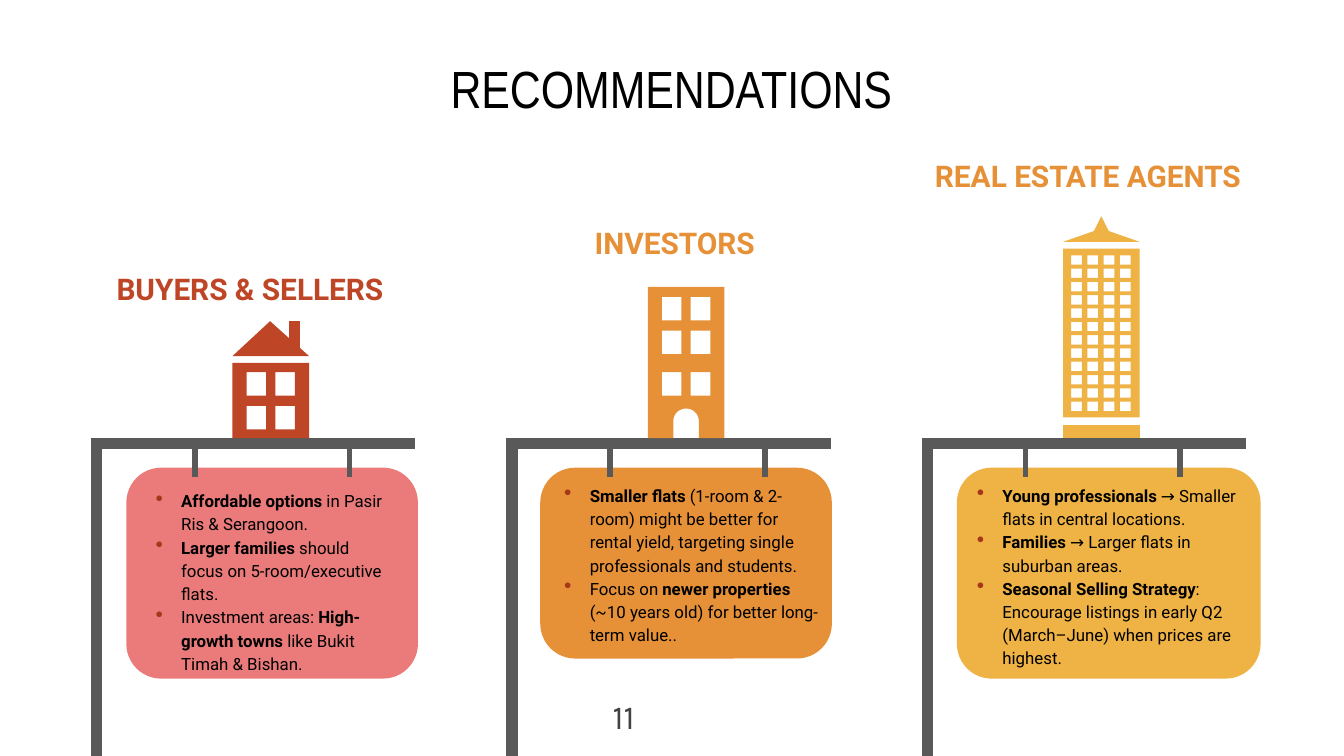
"""Build the recommendations slide: three buildings, each over a hanging sign."""
import math

from lxml import etree
from pptx import Presentation
from pptx import util as u
from pptx.dml.color import RGBColor
from pptx.enum import shapes, text
from pptx.oxml.ns import qn

COLORS = {
    "red": "BE4626", "pink": "EB7B7B", "orange": "E69138", "yellow": "EEB245",
    "bullet": "A73719", "post": "595959", "number": "434343", "black": "000000",
}

presentation = Presentation()
presentation.slide_width = u.Inches(10)
presentation.slide_height = u.Inches(5.625)
CELL = presentation.slide_width / 100
PITCH = 30.9
slide = presentation.slides.add_slide(presentation.slide_layouts[5])


def corners(left, top, right, bottom):
    return [(right, top), (right, bottom), (left, bottom), (left, top)]


def draw_outline(contours, color):
    builder = None
    for contour in contours:
        points = [(round(x * CELL), round(y * CELL)) for x, y in contour]
        if builder is None:
            builder = slide.shapes.build_freeform(*points[0], scale=1.0)
        else:
            builder.move_to(*points[0])
        builder.add_line_segments(points[1:], close=True)
    shape = builder.convert_to_shape()
    shape.shadow.inherit = False
    shape.fill.solid()
    shape.fill.fore_color.rgb = RGBColor.from_string(COLORS[color])
    shape.line.fill.background()


# left, top, width, height
signs = [
    ((9.4, 34.8, 21.7, 15.7), "pink", (10.6, 35.3, 19.6, 6.2), [
        "*Affordable options *in Pasir Ris & Serangoon.",
        "*Larger families *should focus on 5-room/executive flats.",
        "Investment areas: *High-growth towns *like Bukit Timah & Bishan."]),
    ((40.2, 34.8, 21.7, 14.2), "orange", (41, 34.9, 21, 6.2), [
        "*Smaller flats *(1-room & 2-room) might be better for rental yield, "
        "targeting single professionals and students.",
        "Focus on *newer properties *(~10 years old) for better long-term value.."]),
    ((71.2, 34.8, 22.6, 15.7), "yellow", (71.7, 34.9, 23.4, 6.2), [
        "*Young professionals* → Smaller flats in central locations.",
        "*Families* → Larger flats in suburban areas.",
        "*Seasonal Selling Strategy*: Encourage listings in early Q2 "
        "(March–June) when prices are highest."]),
]

for column, (card_box, card_color, text_box, bullets) in enumerate(signs):
    card = slide.shapes.add_shape(
        shapes.MSO_SHAPE.ROUNDED_RECTANGLE, *[round(n * CELL) for n in card_box])
    card.adjustments[0] = 2.6 / card_box[3]
    card.shadow.inherit = False
    card.fill.solid()
    card.fill.fore_color.rgb = RGBColor.from_string(COLORS[card_color])
    card.line.fill.background()

    post = 7.2 + column * PITCH
    for x1, y1, x2, y2, weight in [
        (0, 32.6, 0, 61.3, 6), (0.4, 33, 23.7, 33, 6),
        (7.3, 33, 7.3, 35.5, 3), (18.8, 33, 18.8, 35.5, 3),
    ]:
        ends = [round(n * CELL) for n in (post + x1, y1, post + x2, y2)]
        beam = slide.shapes.add_connector(shapes.MSO_CONNECTOR.STRAIGHT, *ends)
        beam.line.width = u.Pt(weight)
        beam.line.color.rgb = RGBColor.from_string(COLORS["post"])
        etree.SubElement(beam._element.spPr, qn("a:effectLst"))

    frame = slide.shapes.add_textbox(*[round(n * CELL) for n in text_box]).text_frame
    frame.word_wrap = True
    frame.margin_left = frame.margin_right = round(CELL)
    frame.margin_top = frame.margin_bottom = round(CELL)
    for index, bullet in enumerate(bullets):
        paragraph = frame.paragraphs[0] if index == 0 else frame.add_paragraph()
        paragraph.line_spacing = 1.15
        properties = paragraph._p.get_or_add_pPr()
        properties.set("marL", str(round(1.9 * CELL)))
        properties.set("indent", str(round(-1.9 * CELL)))
        bullet_color = etree.SubElement(properties, qn("a:buClr"))
        etree.SubElement(bullet_color, qn("a:srgbClr"), val=COLORS["bullet"])
        etree.SubElement(properties, qn("a:buSzPct"), val="130000")
        etree.SubElement(properties, qn("a:buChar"), char="•")
        for part, words in enumerate(bullet.split("*")):
            if words:
                run = paragraph.add_run()
                run.text = words
                run.font.size = u.Pt(9)
                run.font.name = "Roboto"
                run.font.bold = part % 2 == 1
                run.font.color.rgb = RGBColor.from_string(COLORS["black"])

house, block, tower = [17.3 + column * PITCH for column in range(3)]
WIDTH = 5.7
GROUND = 32.6

draw_outline([[(house + 2.8, 23.9), (house, 26.5), (house + WIDTH, 26.5)]], "red")
draw_outline([corners(house + 4.2, 23.9, house + 5, 26)], "red")
house_windows = [corners(house + x, y, house + x + 1.45, y + 1.75)
                 for y in (27.7, 30.2) for x in (1.05, 3.2)]
draw_outline(house_windows + [corners(house, 27, house + WIDTH, GROUND)[::-1]], "red")

block_windows = [corners(block + x, y, block + x + 1.45, y + 1.75)
                 for y in (22.1, 24.6, 27.7) for x in (1.05, 3.2)]
door = [(block + 2.85 - 0.95 * math.cos(math.pi * step / 16),
         31.3 - 0.9 * math.sin(math.pi * step / 16)) for step in range(17)]
block_wall = [(block, 21.35), (block, GROUND), (block + 1.9, GROUND), *door,
              (block + 3.8, GROUND), (block + WIDTH, GROUND), (block + WIDTH, 21.35)]
draw_outline(block_windows + [block_wall], "orange")

draw_outline([[(tower + 2.85, 17), (tower, 18), (tower + WIDTH, 18)]], "yellow")
draw_outline([[(tower + 2.85, 16.1), (tower + 2.2, 17.4), (tower + 3.5, 17.4)]], "yellow")
draw_outline([corners(tower, 31.6, tower + WIDTH, GROUND)], "yellow")
tower_windows = [
    corners(tower + 0.6 + 1.21 * column, 19 + 0.99 * row,
            tower + 1.4 + 1.21 * column, 19.7 + 0.99 * row)
    for row in range(12) for column in range(4)]
draw_outline(tower_windows + [corners(tower, 18.5, tower + WIDTH, 31.05)[::-1]], "yellow")

number = slide.shapes.add_textbox(0, 0, 0, 0)
labels = [
    (slide.shapes.title, (31.2, 3.9, 37.5, 5.3), "RECOMMENDATIONS",
     "Arial Narrow", 28, "black", False),
    (number, (44.6, 51.3, 5.1, 4), "11", "Karla", 18, "number", False),
]
for box, words, color in [
    ((7.2, 19.5, 22.8, 3.9), "BUYERS & SELLERS", "red"),
    ((38.8, 16.1, 22.8, 3.9), "INVESTORS", "orange"),
    ((67.5, 11.1, 26.9, 3.9), "REAL ESTATE AGENTS", "orange"),
]:
    heading = slide.shapes.add_textbox(0, 0, 0, 0)
    labels.append((heading, box, words, "Roboto", 16, color, True))

for shape, box, words, font, size, color, bold in labels:
    shape.left, shape.top, shape.width, shape.height = [round(n * CELL) for n in box]
    frame = shape.text_frame
    frame.text = words
    frame.word_wrap = True
    frame.auto_size = text.MSO_AUTO_SIZE.NONE
    if shape is not number:
        frame.vertical_anchor = text.MSO_ANCHOR.MIDDLE
        frame.margin_left = frame.margin_right = round(CELL)
        frame.margin_top = frame.margin_bottom = round(CELL)
        frame.paragraphs[0].alignment = text.PP_ALIGN.CENTER
    run = frame.paragraphs[0].runs[0]
    run.font.name = font
    run.font.size = u.Pt(size)
    run.font.bold = bold
    run.font.color.rgb = RGBColor.from_string(COLORS[color])

presentation.save("out.pptx")
